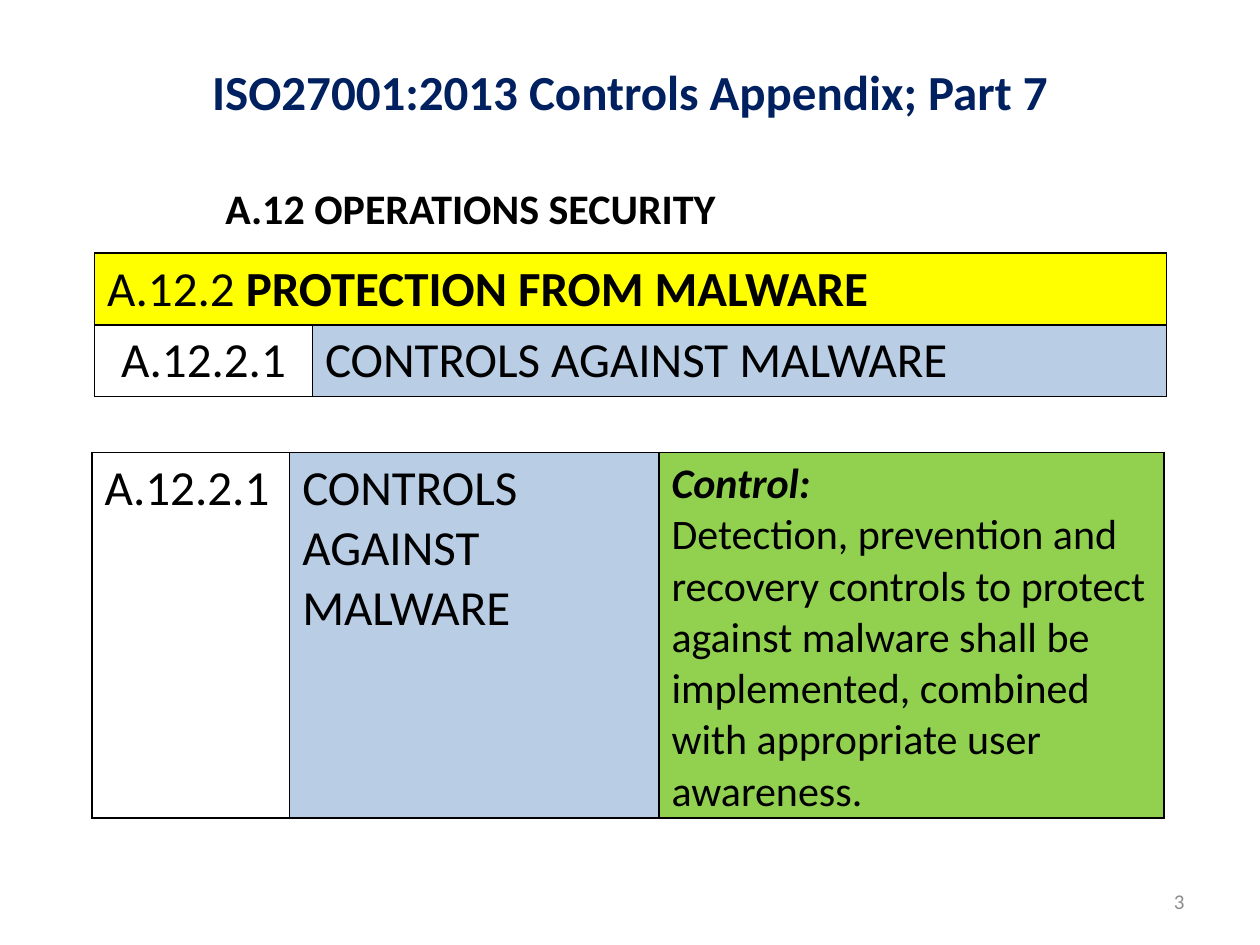
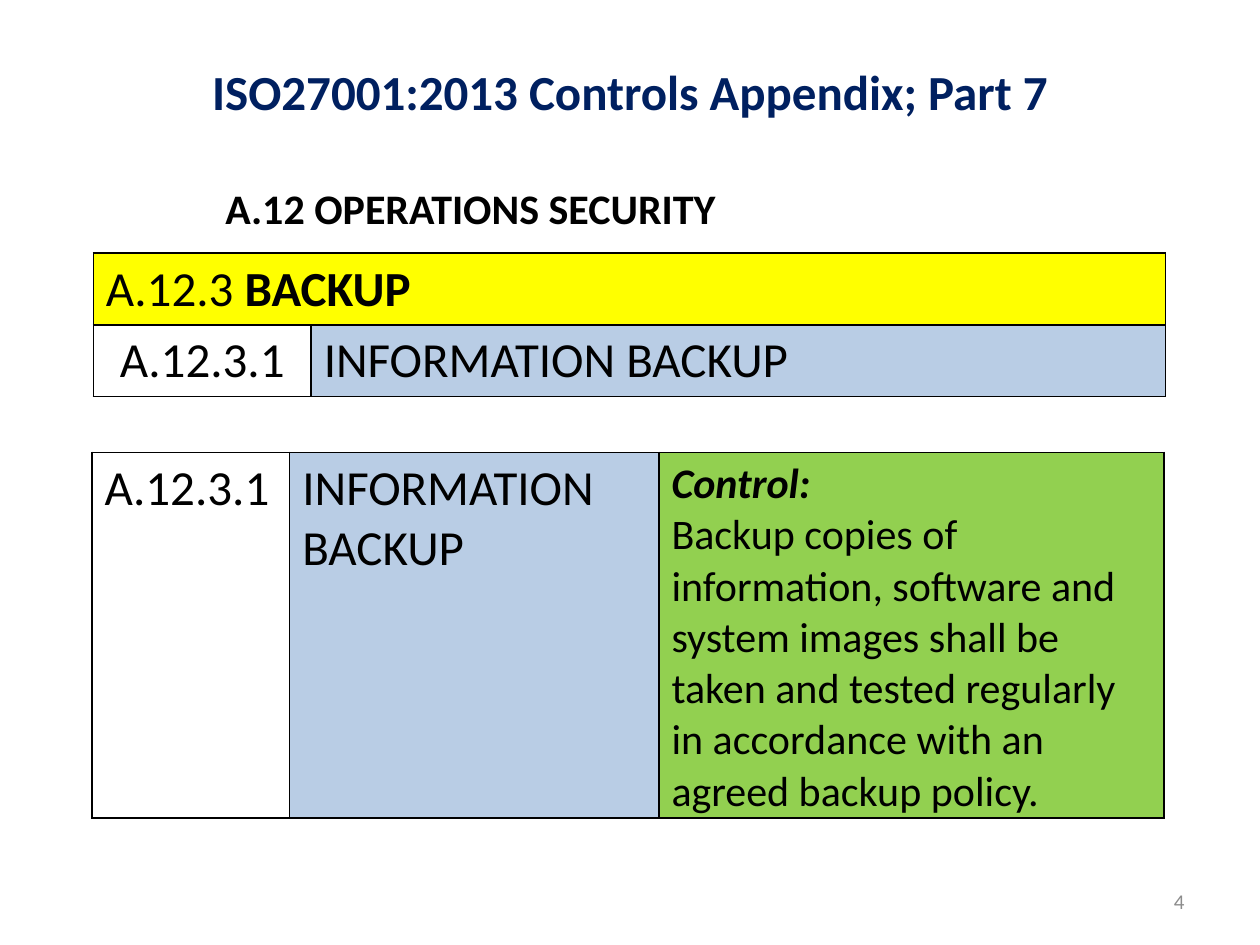
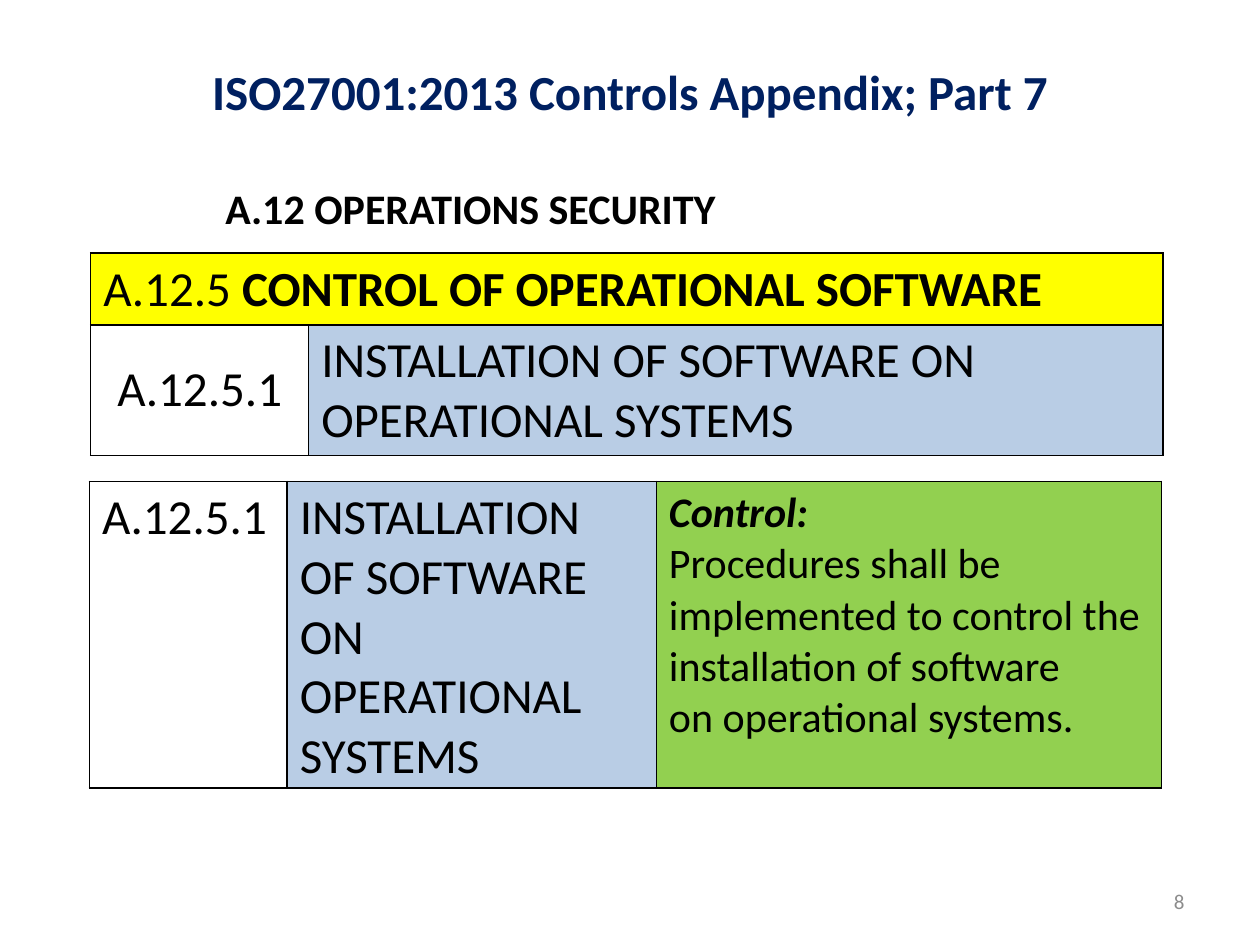
from lxml.etree import SubElement
from pptx import Presentation
from pptx.dml.color import RGBColor
from pptx.enum.text import MSO_ANCHOR as Anchor, MSO_AUTO_SIZE as AutoSize, PP_ALIGN as Align
from pptx.oxml.ns import qn
from pptx.util import Inches, Pt

# Theme: colours, type sizes and shared wording
THEME = {
    "font": "Calibri",
    "title": {"size": Pt(28), "bold": True, "color": "002060"},
    "section": {"size": Pt(24), "bold": True, "color": "000000"},
    "number": {"size": Pt(12), "color": "8C8C8C"},
    "heading": {"size": Pt(28), "bold": True, "color": "000000"},
    "item": {"size": Pt(28), "bold": False, "color": "000000"},
    "label": {"size": Pt(24), "bold": True, "italic": True, "color": "000000"},
    "body": {"size": Pt(24), "bold": False, "color": "000000"},
    "yellow": "FFFF00",
    "blue": "B9CDE5",
    "green": "92D050",
    "border": "000000",
}
TITLE = "ISO27001:2013 Controls Appendix; Part 7"
SECTION = "A.12 OPERATIONS SECURITY"
OVERVIEW_TOP = 2.01
OVERVIEW_COLUMNS = (1.73, 6.78)
DETAIL_COLUMNS = (1.57, 2.93, 4.01)
HEADING_HEIGHT = 0.57

CONTROLS = [
    {
        "page": "3", "group": "A.12.2", "heading": "PROTECTION FROM MALWARE",
        "name": "CONTROLS AGAINST MALWARE",
        "text": ["Detection, prevention and recovery controls to protect against malware "
                 "shall be implemented, combined with appropriate user", "awareness."],
        "overview_left": 0.75, "name_height": 0.56,
        "detail_left": 0.73, "detail_top": 3.59, "detail_height": 2.9,
    },
    {
        "page": "4", "group": "A.12.3", "heading": "BACKUP",
        "name": "INFORMATION BACKUP",
        "text": ["Backup copies of information, software and system images shall be",
                 "taken and tested regularly in accordance with an agreed backup policy."],
        "overview_left": 0.74, "name_height": 0.56,
        "detail_left": 0.73, "detail_top": 3.59, "detail_height": 2.9,
    },
    {
        "page": "8", "group": "A.12.5", "heading": "CONTROL OF OPERATIONAL SOFTWARE",
        "name": "INSTALLATION OF SOFTWARE ON OPERATIONAL SYSTEMS",
        "text": ["Procedures shall be implemented to control the installation of software",
                 "on operational systems."],
        "overview_left": 0.72, "name_height": 1.03,
        "detail_left": 0.71, "detail_top": 3.82, "detail_height": 2.43,
    },
]


def write_text(frame, paragraphs, align=Align.LEFT):
    """Write paragraphs, each a list of (text, theme style) runs."""
    for index, runs in enumerate(paragraphs):
        paragraph = frame.paragraphs[0] if index == 0 else frame.add_paragraph()
        paragraph.alignment = align
        for text, style in runs:
            run = paragraph.add_run()
            run.text = text
            run.font.name = THEME["font"]
            for name, value in THEME[style].items():
                if name == "color":
                    run.font.color.rgb = RGBColor.from_string(value)
                else:
                    setattr(run.font, name, value)


def add_bordered_table(slide, left, top, widths, heights, fills):
    """Add a table with black cell borders and the given grid of fills."""
    frame = slide.shapes.add_table(len(heights), len(widths), Inches(left), Inches(top),
                                   Inches(sum(widths)), Inches(sum(heights)))
    table = frame.table
    table.first_row = table.horz_banding = False
    for column, width in zip(table.columns, widths):
        column.width = Inches(width)
    for row, height, row_fills in zip(table.rows, heights, fills):
        row.height = Inches(height)
        for cell, fill in zip(row.cells, row_fills):
            properties = cell._tc.get_or_add_tcPr()
            for side in ("a:lnL", "a:lnR", "a:lnT", "a:lnB"):
                line = SubElement(properties, qn(side), w=str(Pt(1)))
                solid = SubElement(line, qn("a:solidFill"))
                SubElement(solid, qn("a:srgbClr"), val=THEME["border"])
            if fill:
                cell.fill.solid()
                cell.fill.fore_color.rgb = RGBColor.from_string(THEME[fill])
            else:
                cell.fill.background()
    return table


presentation = Presentation()
presentation.slide_width, presentation.slide_height = Inches(10), Inches(7.5)
title_only = presentation.slide_layouts[5]

for control in CONTROLS:
    slide = presentation.slides.add_slide(title_only)
    code = control["group"] + ".1"

    # Title
    title = slide.shapes.title
    title.left, title.top = Inches(0.5), Inches(0.23)
    title.width, title.height = Inches(9), Inches(0.98)
    title.text_frame.vertical_anchor = Anchor.MIDDLE
    write_text(title.text_frame, [[(TITLE, "title")]], Align.CENTER)

    # Slide number
    number = slide.shapes.add_textbox(Inches(7.17), Inches(6.95), Inches(2.33), Inches(0.4))
    number.text_frame.word_wrap = True
    number.text_frame.vertical_anchor = Anchor.MIDDLE
    write_text(number.text_frame, [[(control["page"], "number")]], Align.RIGHT)

    # Section name
    section = slide.shapes.add_textbox(Inches(1.69), Inches(1.4), Inches(4.13), Inches(0.5))
    section.text_frame.word_wrap = False
    section.text_frame.auto_size = AutoSize.SHAPE_TO_FIT_TEXT
    write_text(section.text_frame, [[(SECTION, "section")]])

    # Overview table
    overview = add_bordered_table(
        slide, control["overview_left"], OVERVIEW_TOP, OVERVIEW_COLUMNS,
        (HEADING_HEIGHT, control["name_height"]), [("yellow", "yellow"), (None, "blue")])
    overview.cell(0, 0).merge(overview.cell(0, 1))
    write_text(overview.cell(0, 0).text_frame,
               [[(control["group"] + " ", "item"), (control["heading"], "heading")]])
    for column, (text, align) in enumerate([(code, Align.CENTER), (control["name"], Align.LEFT)]):
        cell = overview.cell(1, column)
        cell.vertical_anchor = Anchor.MIDDLE
        write_text(cell.text_frame, [[(text, "item")]], align)

    # Detail table
    detail = add_bordered_table(
        slide, control["detail_left"], control["detail_top"], DETAIL_COLUMNS,
        (control["detail_height"],), [(None, "blue", "green")])
    description = [[("Control:", "label")]] + [[(text, "body")] for text in control["text"]]
    contents = [[[(code, "item")]], [[(control["name"], "item")]], description]
    for column, paragraphs in enumerate(contents):
        write_text(detail.cell(0, column).text_frame, paragraphs)

presentation.save("out.pptx")
